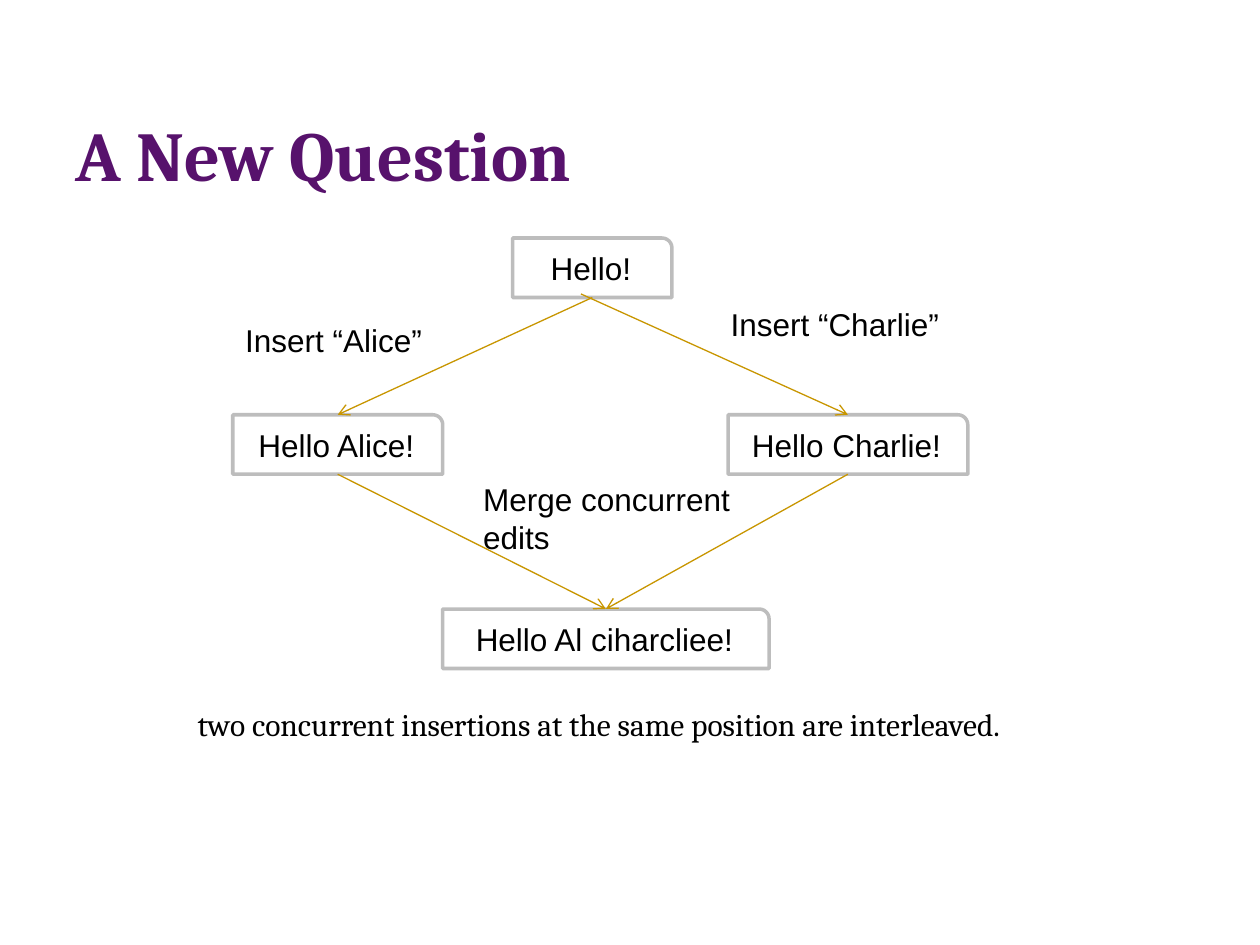
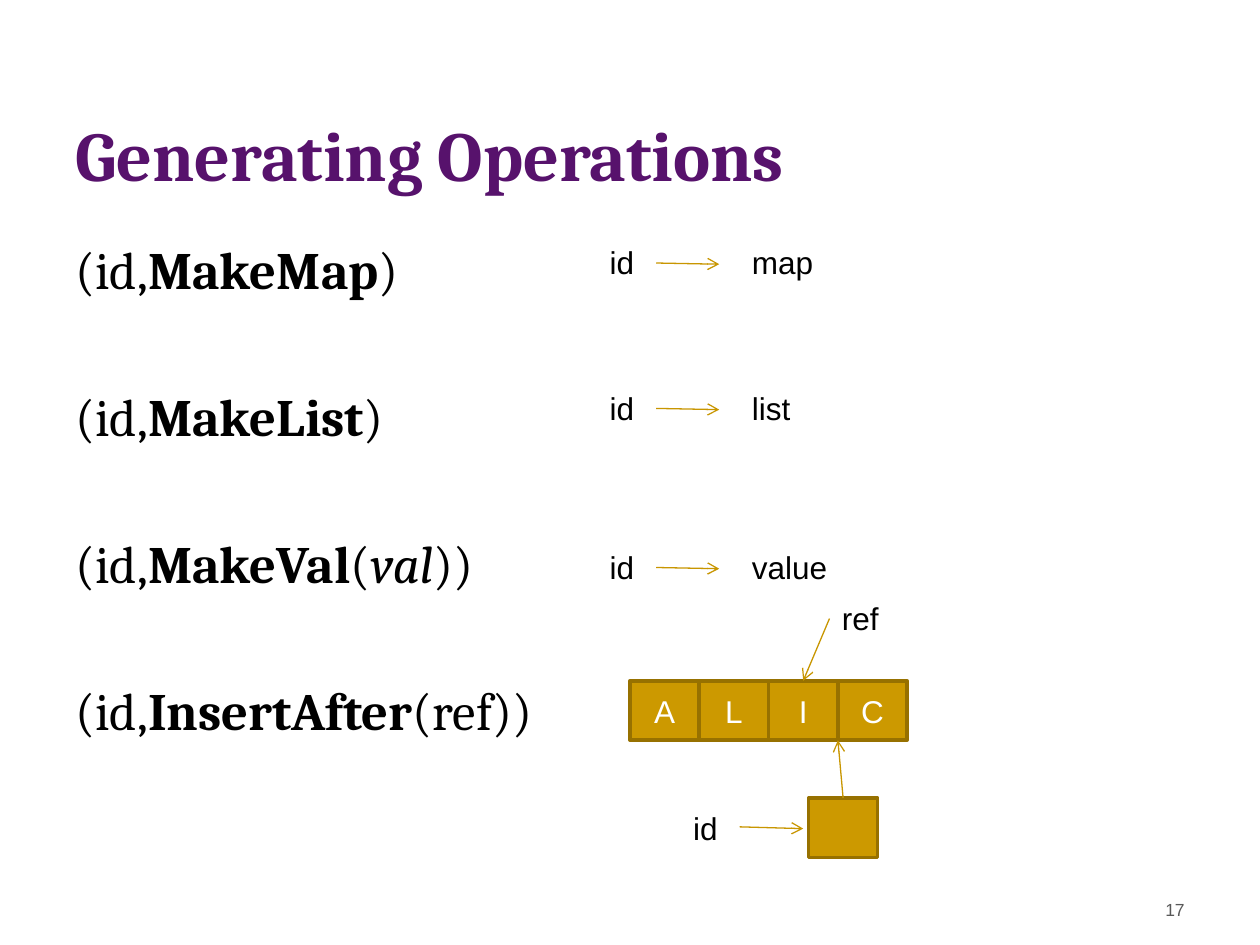
"""Build two slides on concurrent list edits and the operations behind them."""
from lxml import etree
from pptx import Presentation
from pptx import util as u
from pptx.dml.color import RGBColor
from pptx.enum import shapes, text
from pptx.oxml.ns import qn

COLOURS = {
    "title": "57126C",
    "ink": "000000",
    "paper": "FFFFFF",
    "frame": "BDBDBD",
    "arrow": "C89600",
    "cell": "CC9900",
    "cell edge": "977100",
    "footer": "595959",
}
SANS, SERIF = "Arial", "Cambria"
BOX_HEIGHT, LABEL_HEIGHT = 34, 28.8
TOP, BOTTOM = 0, 2


def colour(name):
    return RGBColor.from_string(COLOURS[name])


class Deck:
    """Shared style and the slide being filled; all lengths are points."""

    def __init__(self):
        self.prs = Presentation()
        self.prs.slide_width, self.prs.slide_height = u.Pt(720), u.Pt(540)
        self.slide = None

    def style(self, paragraph, size=18, font=SANS, ink="ink", bold=False):
        for run in paragraph.runs:
            run.font.size = u.Pt(size)
            run.font.name = font
            run.font.bold = bold
            run.font.color.rgb = colour(ink)

    def new_slide(self, heading):
        self.slide = self.prs.slides.add_slide(self.prs.slide_layouts[5])
        title = self.slide.shapes.title
        title.left, title.top = u.Pt(36), u.Pt(9.4)
        title.width, title.height = u.Pt(594), u.Pt(102.2)
        frame = title.text_frame
        frame.text = heading
        frame.vertical_anchor = text.MSO_ANCHOR.BOTTOM
        frame.margin_bottom = 0
        frame.paragraphs[0].alignment = text.PP_ALIGN.LEFT
        self.style(frame.paragraphs[0], 40, SERIF, "title", True)

    def text_frame(self, left, top, width, height):
        area = self.slide.shapes.add_textbox(*map(u.Pt, (left, top, width, height)))
        area.text_frame.word_wrap = True
        return area.text_frame

    def label(self, words, left, top, width, height=LABEL_HEIGHT, font=SANS):
        frame = self.text_frame(left, top, width, height)
        frame.auto_size = text.MSO_AUTO_SIZE.SHAPE_TO_FIT_TEXT
        frame.text = words
        self.style(frame.paragraphs[0], font=font)

    def page_number(self, number):
        frame = self.text_frame(516, 510, 168, 28)
        frame.text = str(number)
        frame.paragraphs[0].alignment = text.PP_ALIGN.RIGHT
        self.style(frame.paragraphs[0], 10, ink="footer")

    def signatures(self, lines, left, top, width, height):
        frame = self.text_frame(left, top, width, height)
        for index, parts in enumerate(lines):
            line = frame.paragraphs[0] if index == 0 else frame.add_paragraph()
            line.line_spacing, line.space_after = u.Pt(41), u.Pt(43)
            for part, _ in parts:
                line.add_run().text = part
            self.style(line, 30, SERIF)
            for run, (_, emphasis) in zip(line.runs, parts):
                run.font.bold = emphasis == "bold"
                run.font.italic = emphasis == "italic"

    def box(self, kind, words, left, top, width, fill, edge, ink):
        box = self.slide.shapes.add_shape(
            kind, *map(u.Pt, (left, top, width, BOX_HEIGHT)))
        box.shadow.inherit = False
        box.fill.solid()
        box.fill.fore_color.rgb = colour(fill)
        box.line.color.rgb = colour(edge)
        box.line.width = u.Pt(2)
        if words:
            frame = box.text_frame
            frame.text = words
            frame.vertical_anchor = text.MSO_ANCHOR.MIDDLE
            frame.paragraphs[0].alignment = text.PP_ALIGN.CENTER
            self.style(frame.paragraphs[0], ink=ink)
        return box

    def document(self, words, left, top, width):
        return self.box(shapes.MSO_SHAPE.ROUND_1_RECTANGLE, words, left, top,
                        width, "paper", "frame", "ink")

    def cell(self, letter, left, top):
        return self.box(shapes.MSO_SHAPE.RECTANGLE, letter, left, top,
                        39.6, "cell", "cell edge", "paper")

    def arrow(self, start=(0, 0), end=(0, 0), source=None, target=None):
        arrow = self.slide.shapes.add_connector(
            shapes.MSO_CONNECTOR.STRAIGHT, *map(u.Pt, (*start, *end)))
        if source is not None:
            arrow.begin_connect(source, BOTTOM if target is not None else TOP)
        if target is not None:
            arrow.end_connect(target, TOP)
        arrow.line.color.rgb = colour("arrow")
        arrow.line.width = u.Pt(0.75)
        etree.SubElement(arrow.line._get_or_add_ln(), qn("a:tailEnd"), type="arrow")
        etree.SubElement(arrow._element.spPr, qn("a:effectLst"))


def question_slide(deck):
    deck.new_slide("A New Question")
    start = deck.document("Hello!", 293, 136, 91)
    alice = deck.document("Hello Alice!", 133, 237, 120)
    charlie = deck.document("Hello Charlie!", 416, 237, 137)
    merged = deck.document("Hello Al ciharcliee!", 253, 348, 186.5)

    deck.arrow(source=start, target=alice)
    deck.arrow(start=(332, 168), target=charlie)
    for edit in (alice, charlie):
        deck.arrow(source=edit, target=merged)

    deck.label("Insert “Alice”", 133, 180, 160)
    deck.label("Insert “Charlie”", 410.4, 170.6, 187)
    deck.label("Merge concurrent edits", 269, 271, 170, 51)
    deck.label("two concurrent insertions at the same position are interleaved.",
               105.8, 399.6, 497.5, font=SERIF)


def operations_slide(deck):
    deck.new_slide("Generating Operations")
    calls = [
        ("MakeMap", [(")", "")]),
        ("MakeList", [(")", "")]),
        ("MakeVal", [("(", ""), ("val", "italic"), ("))", "")]),
        ("InsertAfter", [("(ref))", "")]),
    ]
    deck.signatures([[("(id,", ""), (name, "bold"), *rest] for name, rest in calls],
                    36, 126.7, 648, 383)
    deck.page_number(17)

    for result, top in (("map", 135.5), ("list", 218.6), ("value", 309.5)):
        deck.label("id", 341.3, top, 34)
        deck.arrow((375, top + 14.8), (411, top + 15.5))
        deck.label(result, 422.6, top, 60)

    letters = [deck.cell(letter, 360 + 39.6 * index, 389)
               for index, letter in enumerate("ALIC")]
    inserted = deck.cell("", 462, 456)
    deck.arrow(source=inserted, end=(478.8, 423))
    deck.label("id", 389, 458.6, 34)
    deck.arrow((422.6, 472.5), (459, 473.5))
    deck.label("ref", 474, 338.5, 45)
    deck.arrow(start=(474, 353.5), target=letters[2])


deck = Deck()
question_slide(deck)
operations_slide(deck)
deck.prs.save("out.pptx")
